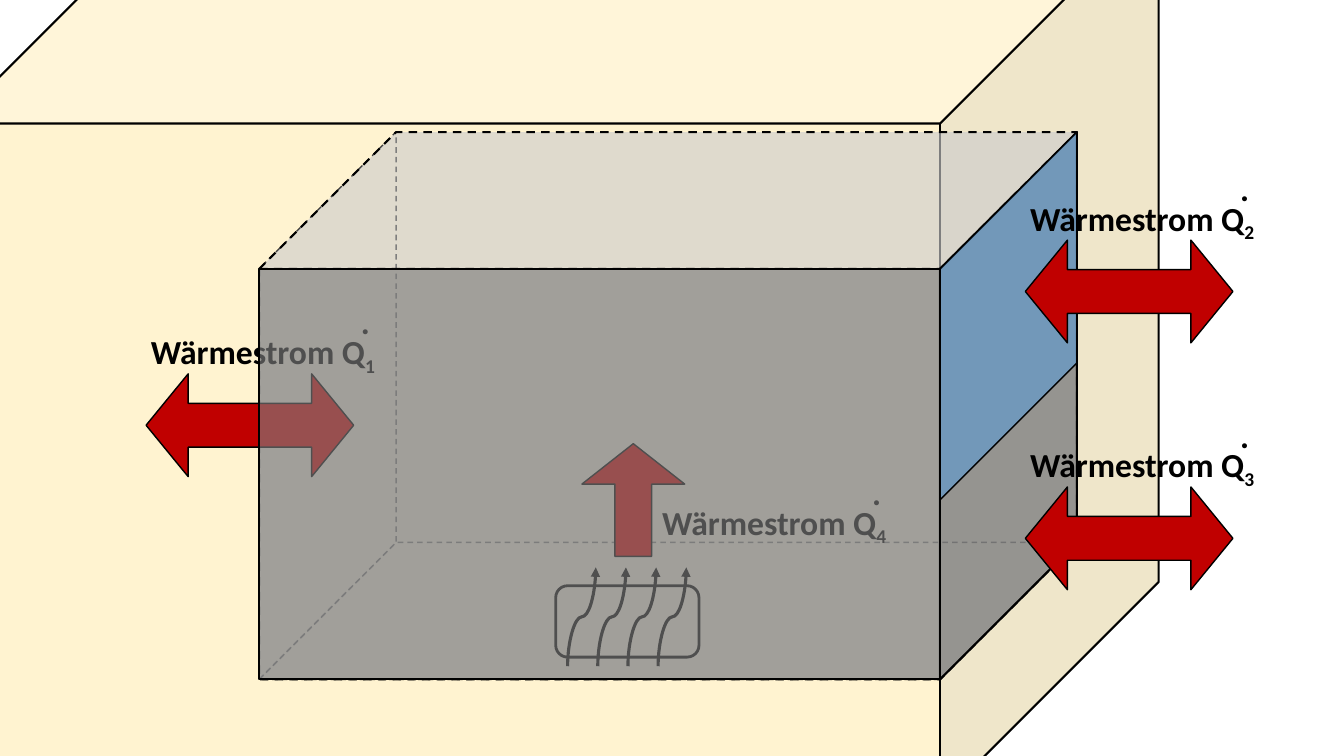
"""Build a slide showing the heat flows through the walls, window and heater of a room."""
from lxml.etree import SubElement
from pptx import Presentation
from pptx.dml.color import RGBColor
from pptx.enum.dml import MSO_LINE
from pptx.enum.shapes import MSO_CONNECTOR, MSO_SHAPE as Preset
from pptx.enum.text import MSO_AUTO_SIZE, PP_ALIGN
from pptx.oxml.ns import qn
from pptx.util import Cm, Inches, Pt

BLACK = RGBColor(0, 0, 0)
YELLOW = RGBColor(0xFF, 0xD9, 0x66)
SILVER = RGBColor(0xC0, 0xC0, 0xC0)
GREY = RGBColor(0x80, 0x80, 0x80)
BLUE = RGBColor(0x5B, 0x9B, 0xD5)
RED = RGBColor(0xC0, 0, 0)

LABEL = "Wärmestrom Q"
BUILDING = (-1.19, -2.39, 30.38, 22.56)
ROOM = (6.53, 3.33, 20.6, 13.79)
DEPTH = 3.45
WINDOW_HEIGHT = 9.27
EXCHANGE_SIZE = (5.23, 2.59)
WALL_FLOW = ("1", 3.68, 9.42)
OUTSIDE_FLOWS = [("2", 25.83, 6.05), ("3", 25.83, 12.27)]
HEATER_FLOW = ("4", 16.43, 12.52)
HEATER_ARROW = (14.66, 11.18, 2.59, 2.84)
HEATER = (14, 14.76, 3.61, 1.8)
LABEL_OFFSET = (-0.13, -1.2)
DOT_OFFSET = (5.29, -0.75)
WAVE_COUNT, WAVE_STEP = 4, 0.76
WAVE_LEFT, WAVE_TOP, WAVE_WIDTH, WAVE_HEIGHT = 14.3, 14.3, 0.71, 2.49


def add_form(shapes, preset, box, fill=None, opacity=100, line=1, dashed=False,
             rotation=0, flips=(), adjustments=()):
    """Add a preset shape that covers the visible box after its rotation."""
    left, top, width, height = box
    if rotation in (90, 270):
        left, top = left + (width - height) / 2, top + (height - width) / 2
        width, height = height, width
    shape = shapes.add_shape(preset, Cm(left), Cm(top), Cm(width), Cm(height))
    shape.shadow.inherit = False
    shape.rotation = rotation
    for index, value in enumerate(adjustments):
        shape.adjustments[index] = value
    for flip in flips:
        shape.element.spPr.find(qn("a:xfrm")).set(flip, "1")
    shape.line.color.rgb = BLACK
    shape.line.width = Pt(line)
    if dashed:
        shape.line.dash_style = MSO_LINE.DASH
    if fill is None:
        shape.fill.background()
    else:
        shape.fill.solid()
        shape.fill.fore_color.rgb = fill
        if opacity < 100:
            color = shape.element.spPr.find(qn("a:solidFill"))[0]
            SubElement(color, qn("a:alpha")).set("val", str(opacity * 1000))
    return shape


def add_text(shapes, text, left, top, width, subscript="", size=24, color=BLACK, bold=True):
    """Add a one-line text box with an optional subscript."""
    box = shapes.add_textbox(Cm(left), Cm(top), Cm(width), Cm(1.28))
    frame = box.text_frame
    frame.word_wrap = False
    frame.auto_size = MSO_AUTO_SIZE.SHAPE_TO_FIT_TEXT
    paragraph = frame.paragraphs[0]
    paragraph.alignment = PP_ALIGN.LEFT
    for part in filter(None, (text, subscript)):
        run = paragraph.add_run()
        run.text = part
        run.font.name = "Calibri"
        run.font.size = Pt(size)
        run.font.bold = bold
        run.font.color.rgb = color
    if subscript:
        run._r.get_or_add_rPr().set("baseline", "-25000")


def add_label(slide, number, left, top):
    """Add a heat flow symbol with the dot above its Q."""
    group = slide.shapes.add_group_shape()
    add_text(group.shapes, LABEL, left, top, 6.65, subscript=number)
    add_text(group.shapes, ".", left + DOT_OFFSET[0], top + DOT_OFFSET[1], 0.74)


def add_exchange(slide, number, left, top):
    """Add a two-way heat flow arrow with its label."""
    add_form(slide.shapes, Preset.LEFT_RIGHT_ARROW, (left, top, *EXCHANGE_SIZE), fill=RED,
             rotation=180, adjustments=(0.427, 0.409))
    add_label(slide, number, left + LABEL_OFFSET[0], top + LABEL_OFFSET[1])


def add_wave(shapes, left):
    """Add a rising curved arrow."""
    middle_x, middle_y = left + WAVE_WIDTH / 2, WAVE_TOP + WAVE_HEIGHT / 2
    half_width, half_height = WAVE_HEIGHT / 2, WAVE_WIDTH / 2
    wave = shapes.add_connector(MSO_CONNECTOR.CURVE,
                                Cm(middle_x + half_width), Cm(middle_y + half_height),
                                Cm(middle_x - half_width), Cm(middle_y - half_height))
    wave.line.color.rgb = BLACK
    wave.line.width = Pt(2.25)
    properties = wave.element.spPr
    properties.find(qn("a:xfrm")).set("rot", "5400000")
    SubElement(properties.find(qn("a:ln")), qn("a:tailEnd")).set("type", "triangle")
    SubElement(properties, qn("a:effectLst"))


def add_heater(slide):
    """Add the heater with its rising waves."""
    group = slide.shapes.add_group_shape()
    for index in range(WAVE_COUNT):
        add_wave(group.shapes, WAVE_LEFT + index * WAVE_STEP)
    add_form(group.shapes, Preset.ROUNDED_RECTANGLE, HEATER, line=2)


def main():
    """Compose the slide from back to front."""
    presentation = Presentation()
    presentation.slide_width, presentation.slide_height = Inches(13.33), Inches(7.5)
    slide = presentation.slides.add_slide(presentation.slide_layouts[6])
    shapes = slide.shapes
    left, top, width, height = ROOM
    front_width, front_height = width - DEPTH, height - DEPTH
    right_wall = (left + front_width, top, DEPTH, height)
    window = (left + front_width, top, DEPTH, WINDOW_HEIGHT)
    slanted = {"preset": Preset.PARALLELOGRAM, "adjustments": (1,)}

    add_form(shapes, Preset.CUBE, BUILDING, fill=YELLOW, opacity=30, line=1.5,
             adjustments=(0.244,))
    add_form(shapes, box=(left, top, DEPTH, height), dashed=True, rotation=90,
             flips=("flipH",), **slanted)
    add_form(shapes, box=(left, top + front_height, width, DEPTH), dashed=True,
             flips=("flipH", "flipV"), **slanted)
    add_form(shapes, Preset.CUBE, ROOM, fill=SILVER, opacity=62, line=1.5, dashed=True)
    add_exchange(slide, *WALL_FLOW)
    add_heater(slide)
    add_label(slide, *HEATER_FLOW)
    add_form(shapes, Preset.RIGHT_ARROW, HEATER_ARROW, fill=RED, rotation=270,
             adjustments=(0.357, 0.393))
    add_form(shapes, box=right_wall, fill=GREY, opacity=62, line=1.5, rotation=90,
             flips=("flipV",), **slanted)
    add_form(shapes, box=window, fill=BLUE, opacity=60, rotation=90,
             flips=("flipV",), **slanted)
    for flow in OUTSIDE_FLOWS:
        add_exchange(slide, *flow)
    add_form(shapes, Preset.PARALLELOGRAM, (left, top + DEPTH, front_width, front_height),
             fill=GREY, opacity=62, line=1.5, rotation=90, adjustments=(0,))
    presentation.save("out.pptx")


if __name__ == "__main__":
    main()
